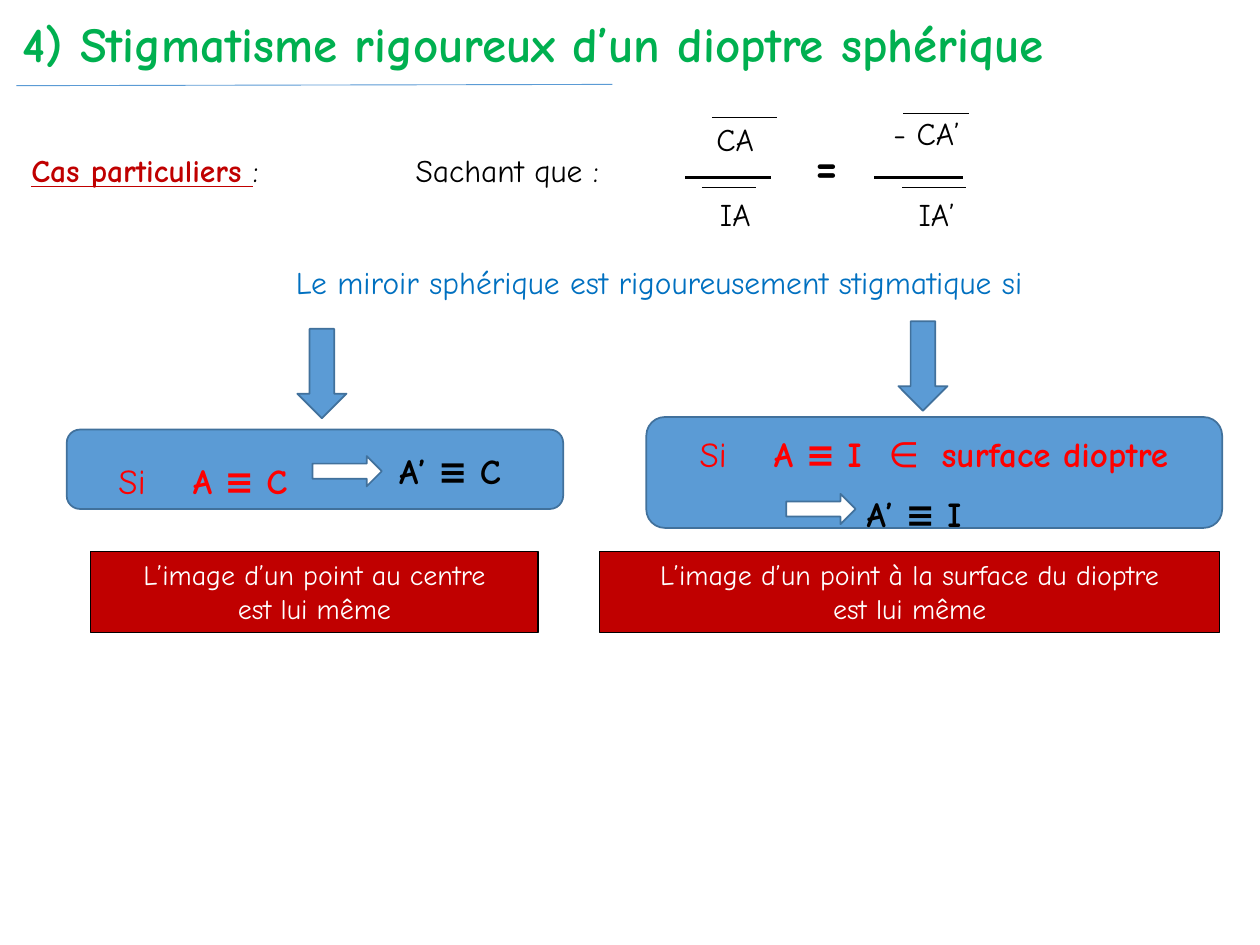
"""Build the slide on rigorous stigmatism of a spherical dioptre."""
from lxml import etree
from pptx import Presentation, util as u
from pptx.dml.color import RGBColor
from pptx.enum import shapes, text
from pptx.oxml.ns import qn

THEME = {
    "font": "Comic Neue",
    "black": "000000", "white": "FFFFFF", "red": "FF0000", "dark_red": "C00000",
    "green": "00B050", "blue": "0070C0", "fill": "5B9BD5", "edge": "41719C",
    "title": 28, "case": 20, "body": 18, "note": 16,
}
LEFT, CENTER = text.PP_ALIGN.LEFT, text.PP_ALIGN.CENTER
SHAPE = shapes.MSO_SHAPE

# (left, top, width, height), alignment, size, runs of (text, colour, styles)
LABELS = [
    ((0.08, 0.06, 9.33, 0.57), LEFT, "title",
     [("4) Stigmatisme rigoureux d’un dioptre sphérique", "green", "b")]),
    ((0.15, 1.15, 2.6, 0.4), LEFT, "body",
     [("Cas particuliers ", "dark_red", "bu"), (":", "black", "")]),
    ((3.2, 1.15, 2, 0.4), LEFT, "body", [("Sachant que :", "black", "")]),
    ((5.19, 0.9, 1.29, 0.4), CENTER, "body", [("CA", "black", "")]),
    ((5.19, 1.5, 1.29, 0.4), CENTER, "body", [("IA", "black", "")]),
    ((6.26, 1.02, 0.6, 0.57), CENTER, "title", [("=", "black", "b")]),
    ((6.71, 0.86, 1.29, 0.4), CENTER, "body", [("- CA’", "black", "")]),
    ((6.79, 1.5, 1.29, 0.4), CENTER, "body", [("IA’", "black", "")]),
    ((2.25, 2.04, 6.2, 0.4), LEFT, "body",
     [("Le miroir sphérique est rigoureusement stigmatique si", "blue", "")]),
]
RESULTS = [
    ((3.07, 3.52, 1.2, 0.44), LEFT, "case", [("A’ ≡ C", "black", "b")]),
    ((6.78, 3.86, 1.2, 0.44), LEFT, "case", [("A’ ≡ I", "black", "b")]),
]
# start, end, colour, width
LINES = [
    ((0.13, 0.68), (4.86, 0.67), "fill", 0.5),
    ((5.44, 1.41), (6.12, 1.41), "black", 1.5),
    ((6.94, 1.41), (7.64, 1.41), "black", 1.5),
    ((5.65, 0.93), (6.17, 0.93), "black", 0.5),
    ((7.17, 0.9), (7.69, 0.9), "black", 0.5),
    ((5.57, 1.49), (6, 1.49), "black", 0.5),
    ((7.16, 1.49), (7.67, 1.49), "black", 0.5),
]
# box, insets, tab stops, runs
CASES = [
    ((0.53, 3.41, 3.94, 0.63), (0.38, 0.22, 0.1, 0.05), [0.59],
     [("Si\t", "red", ""), ("A ≡ C", "red", "b")]),
    ((5.13, 3.31, 4.57, 0.88), (0.38, 0.05, 0.1, 0.35), [0.59, 1.5, 1.92],
     [("Si\t", "red", ""), ("A ≡ I\t", "red", "b"), ("∈\t", "red", ""),
      ("surface dioptre", "red", "b")]),
]
ARROWS = [
    (SHAPE.DOWN_ARROW, (2.36, 2.61, 0.39, 0.71), "fill"),
    (SHAPE.DOWN_ARROW, (7.13, 2.55, 0.39, 0.71), "fill"),
    (SHAPE.RIGHT_ARROW, (2.48, 3.62, 0.55, 0.24), "white"),
    (SHAPE.RIGHT_ARROW, (6.24, 3.92, 0.55, 0.24), "white"),
]
NOTES = [
    ((0.72, 4.38, 3.55, 0.64), ["L’image d’un point au centre", "est lui même"]),
    ((4.76, 4.38, 4.92, 0.64),
     ["L’image d’un point à la surface du dioptre", "est lui même"]),
]


def color(name):
    return RGBColor.from_string(THEME[name])


def inches(values):
    return [u.Inches(v) for v in values]


def write(p, runs, size, align, tabs=()):
    p.alignment = align
    if tabs:
        stops = etree.SubElement(p._p.get_or_add_pPr(), qn("a:tabLst"))
        for tab in tabs:
            etree.SubElement(stops, qn("a:tab"), pos=str(u.Inches(tab)), algn="l")
    for words, name, styles in runs:
        r = p.add_run()
        r.text = words
        r.font.name = THEME["font"]
        r.font.size = u.Pt(THEME[size])
        r.font.bold = "b" in styles
        r.font.underline = "u" in styles
        r.font.color.rgb = color(name)


def add_label(slide, box, align, size, runs):
    tf = slide.shapes.add_textbox(*inches(box)).text_frame
    tf.word_wrap = True
    write(tf.paragraphs[0], runs, size, align)


def add_line(slide, start, end, name, width):
    sp = slide.shapes.add_connector(shapes.MSO_CONNECTOR.STRAIGHT, *inches(start + end))
    sp.line.color.rgb = color(name)
    sp.line.width = u.Pt(width)
    etree.SubElement(sp._element.spPr, qn("a:effectLst"))


def add_block(slide, kind, box, fill, edge="edge", width=1):
    sp = slide.shapes.add_shape(kind, *inches(box))
    sp.shadow.inherit = False
    sp.fill.solid()
    sp.fill.fore_color.rgb = color(fill)
    sp.line.color.rgb = color(edge)
    sp.line.width = u.Pt(width)
    return sp


def add_case(slide, box, insets, tabs, runs):
    tf = add_block(slide, SHAPE.ROUNDED_RECTANGLE, box, "fill").text_frame
    tf.word_wrap = True
    tf.vertical_anchor = text.MSO_ANCHOR.MIDDLE
    tf.margin_left, tf.margin_top, tf.margin_right, tf.margin_bottom = inches(insets)
    write(tf.paragraphs[0], runs, "case", LEFT, tabs)


def add_note(slide, box, lines):
    tf = add_block(slide, SHAPE.RECTANGLE, box, "dark_red", "black", 0.75).text_frame
    tf.word_wrap = True
    tf.vertical_anchor = text.MSO_ANCHOR.TOP
    for i, line in enumerate(lines):
        p = tf.add_paragraph() if i else tf.paragraphs[0]
        write(p, [(line, "white", "")], "note", CENTER)


def main():
    prs = Presentation()
    prs.slide_width, prs.slide_height = inches((10, 7.5))
    slide = prs.slides.add_slide(prs.slide_layouts[6])
    for label in LABELS:
        add_label(slide, *label)
    for line in LINES:
        add_line(slide, *line)
    for case in CASES:
        add_case(slide, *case)
    for arrow in ARROWS:
        add_block(slide, *arrow)
    for result in RESULTS:
        add_label(slide, *result)
    for note in NOTES:
        add_note(slide, *note)
    prs.save("out.pptx")


if __name__ == "__main__":
    main()
